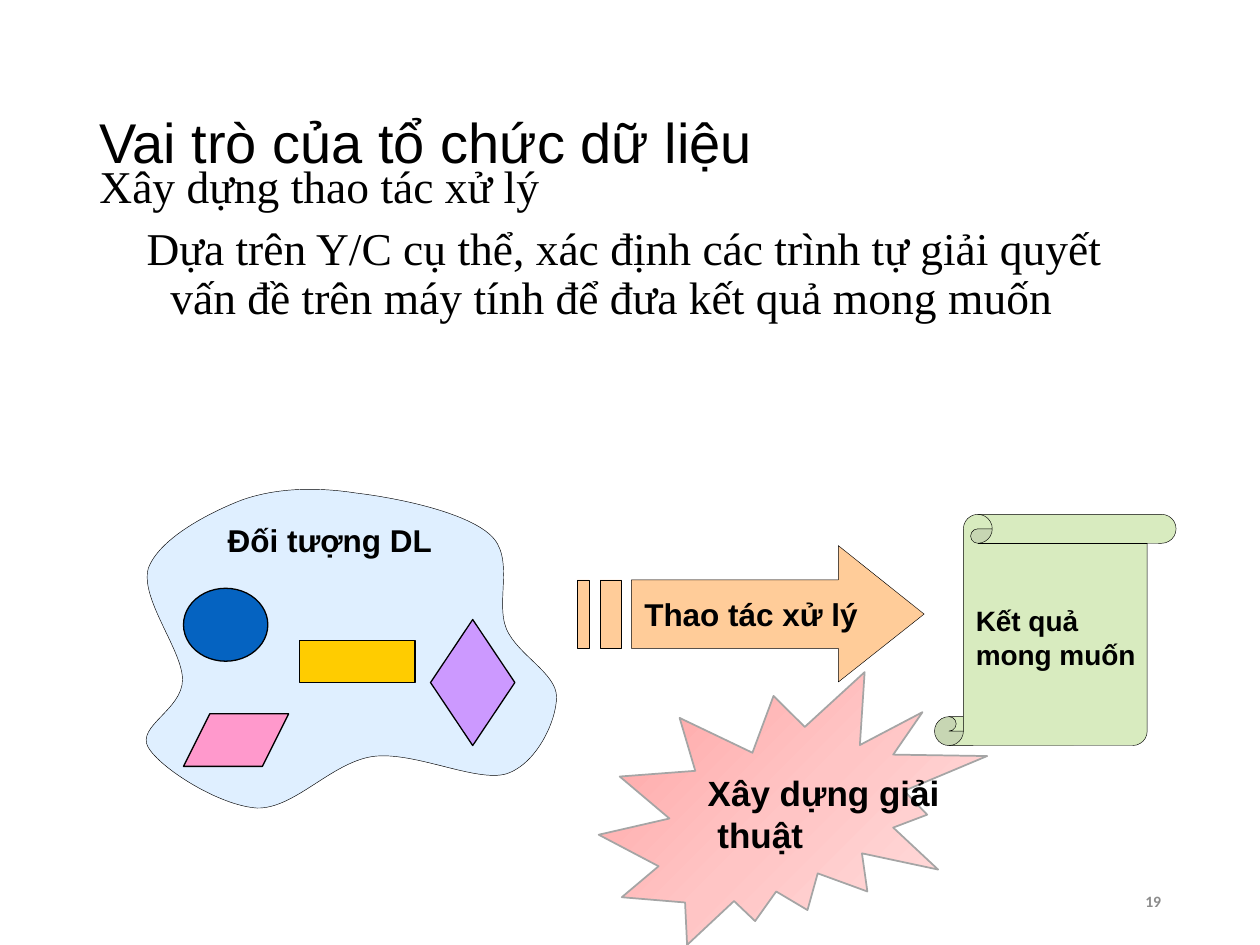
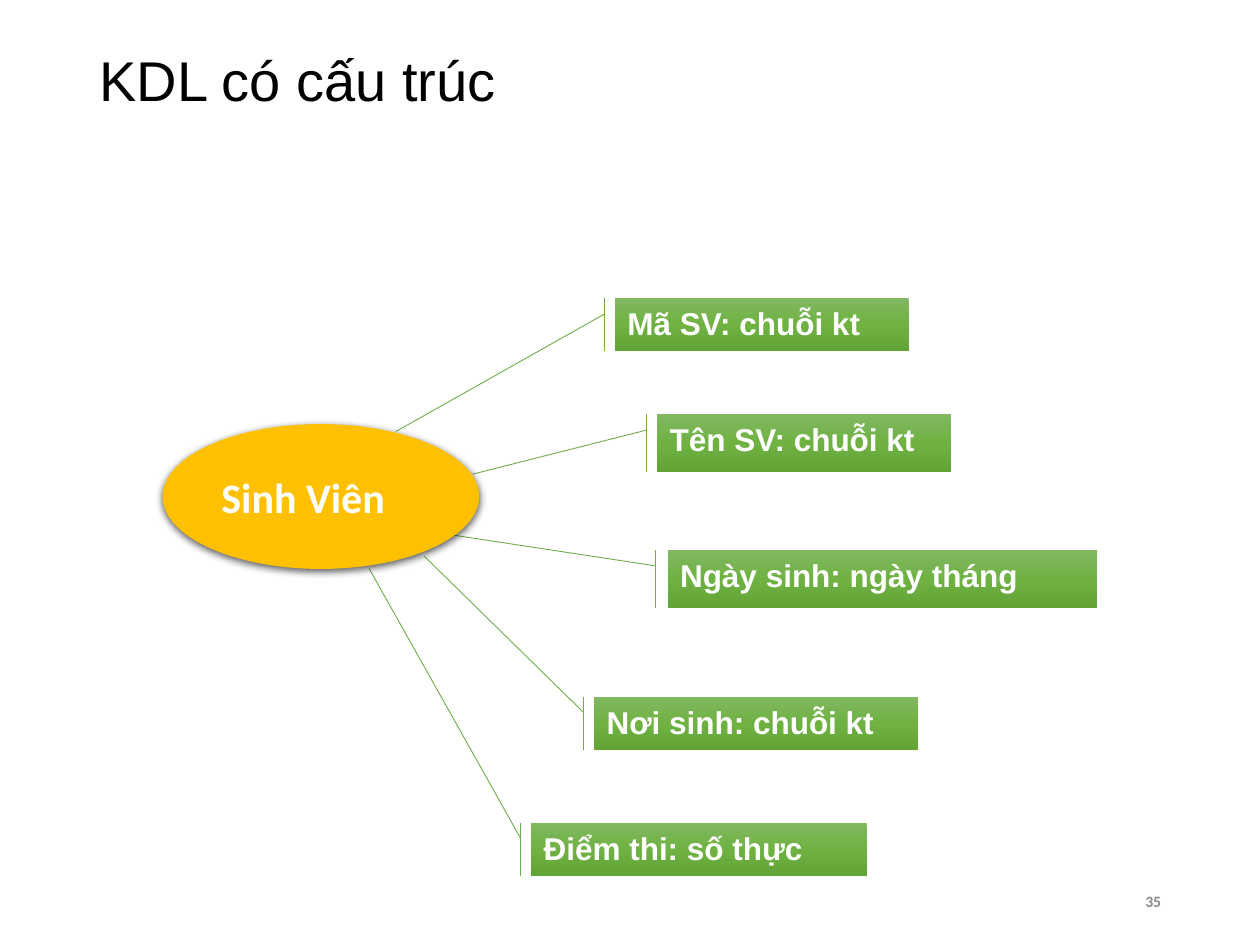
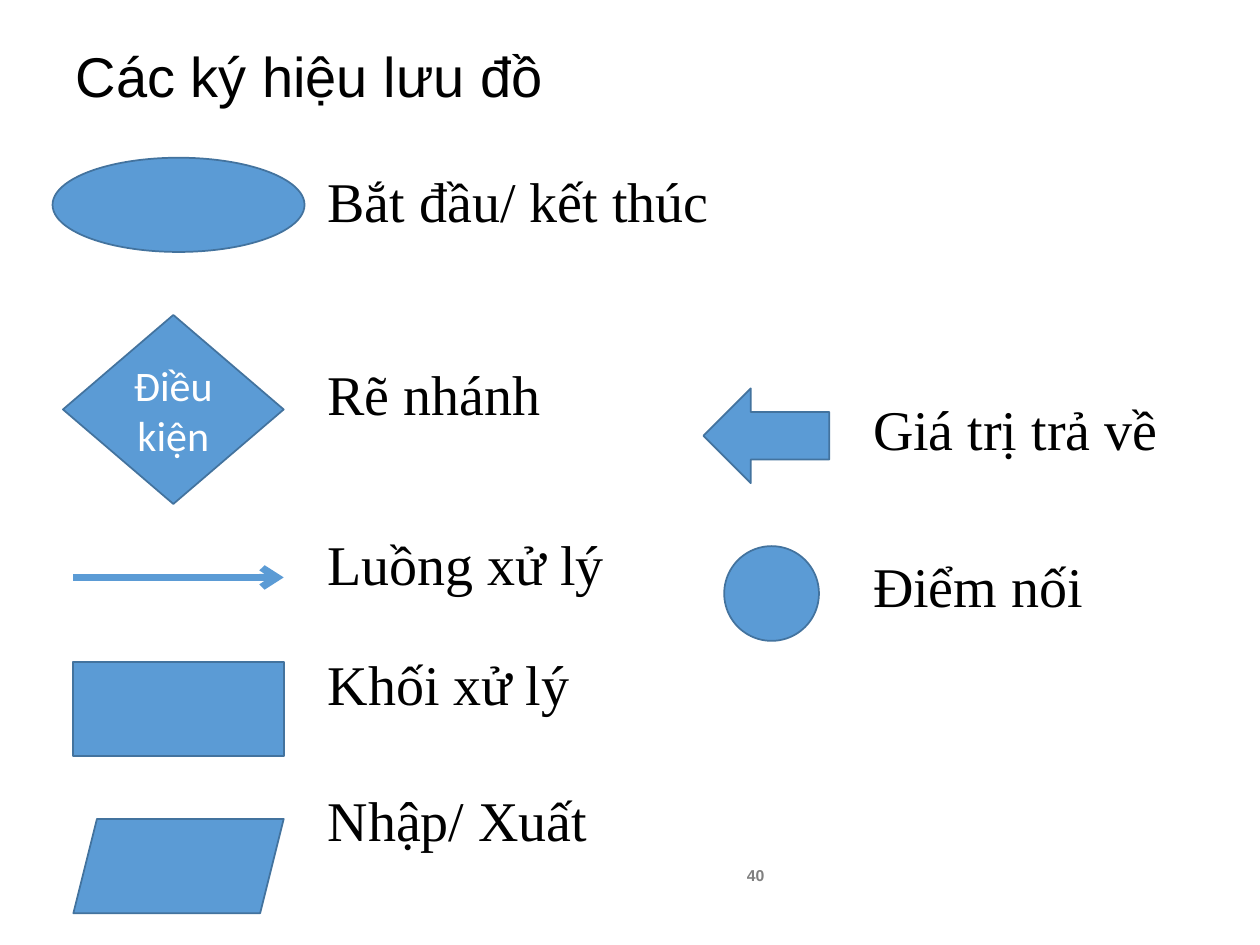
from lxml.etree import SubElement
from pptx import Presentation
from pptx.dml.color import RGBColor
from pptx.enum.shapes import MSO_CONNECTOR, MSO_SHAPE
from pptx.enum.text import MSO_ANCHOR, MSO_AUTO_SIZE, PP_ALIGN
from pptx.oxml.ns import qn
from pptx.util import Cm, Pt

BLACK = RGBColor(0x00, 0x00, 0x00)
WHITE = RGBColor(0xFF, 0xFF, 0xFF)
GREY = RGBColor(0x8C, 0x8C, 0x8C)
MID_GREY = RGBColor(0x7F, 0x7F, 0x7F)
SEAL_LINE = RGBColor(0xA5, 0xA5, 0xA5)
BLOB_BLUE = RGBColor(0x99, 0xCC, 0xFF)
DARK_BLUE = RGBColor(0x05, 0x63, 0xC1)
YELLOW = RGBColor(0xFF, 0xCC, 0x00)
PINK = RGBColor(0xFF, 0x99, 0xCC)
PURPLE = RGBColor(0xCC, 0x99, 0xFF)
PEACH = RGBColor(0xFF, 0xCC, 0x99)
SCROLL_GREEN = RGBColor(0xB1, 0xD8, 0x7E)
GREEN = RGBColor(0x70, 0xAD, 0x47)
GOLD = RGBColor(0xFF, 0xC0, 0x00)
BLUE = RGBColor(0x5B, 0x9B, 0xD5)
BLUE_LINE = RGBColor(0x43, 0x73, 0x9E)
RED_GRADIENT = (RGBColor(0xFF, 0xA0, 0xA0), RGBColor(0xFF, 0xC5, 0xC5),
                RGBColor(0xFF, 0xE3, 0xE3))
GREEN_GRADIENT = (RGBColor(0x81, 0xB8, 0x61), RGBColor(0x6F, 0xB2, 0x42),
                  RGBColor(0x62, 0xA3, 0x36))
SANS, SERIF, CALIBRI = "Arial", "Times New Roman", "Calibri"

NUMBER_BOX = (16.83, 17.65, 6.83, 1.02)


# Shared helpers
def place(sp, box):
    sp.left, sp.top, sp.width, sp.height = (Cm(v) for v in box)


def shift(box, part):
    """Move a part given relative to box to slide coordinates."""
    return (box[0] + part[0], box[1] + part[1], *part[2:])


def write(sp, lines, size, font=SANS, color=BLACK, bold=False,
          align=PP_ALIGN.LEFT, anchor=MSO_ANCHOR.MIDDLE, wrap=True):
    tf = sp.text_frame
    tf.text = "\n".join(lines)
    tf.auto_size = MSO_AUTO_SIZE.NONE
    tf.word_wrap = wrap
    tf.vertical_anchor = anchor
    for p in tf.paragraphs:
        p.alignment = align
        for r in p.runs:
            r.font.size, r.font.name, r.font.bold = Pt(size), font, bold
            r.font.color.rgb = color
    return tf


def paint(sp, fill, line=None, width=1, alpha=None):
    sp.shadow.inherit = False
    sp.fill.solid()
    sp.fill.fore_color.rgb = fill
    if alpha is not None:
        clr = sp._element.spPr.find(qn("a:solidFill")).find(qn("a:srgbClr"))
        SubElement(clr, qn("a:alpha"), val=str(alpha * 1000))
    if line is None:
        sp.line.fill.background()
    else:
        sp.line.color.rgb = line
        sp.line.width = Pt(width)


def paint_gradient(sp, colors, angle, line, width):
    paint(sp, colors[0], line, width)
    sp.fill.gradient()
    sp.fill.gradient_angle = 360 - angle
    gs_lst = sp._element.spPr.find(qn("a:gradFill")).find(qn("a:gsLst"))
    gs_lst.clear()
    for i, color in enumerate(colors):
        gs = SubElement(gs_lst, qn("a:gs"), pos=str(i * 50000))
        SubElement(gs, qn("a:srgbClr"), val=str(color))


def add_preset(s, kind, box):
    return s.shapes.add_shape(kind, *(Cm(v) for v in box))


def add_text(s, box, lines, size, **style):
    sp = s.shapes.add_textbox(*(Cm(v) for v in box))
    return write(sp, lines, size, **style)


def add_outline(s, box, polygons):
    """Draw closed polygons with points in hundredths of a cm."""
    builder = s.shapes.build_freeform(*polygons[0][0], scale=Cm(0.01))
    for i, points in enumerate(polygons):
        if i:
            builder.move_to(*points[0])
        builder.add_line_segments(points[1:], close=True)
    return builder.convert_to_shape(Cm(box[0]), Cm(box[1]))


def bend(sp):
    """Turn each three line segments of an outline into one cubic curve."""
    segments = list(sp._element.iter(qn("a:lnTo")))
    for i in range(0, len(segments) - 2, 3):
        first, *others = segments[i:i + 3]
        first.tag = qn("a:cubicBezTo")
        for segment in others:
            first.append(segment[0])
            segment.getparent().remove(segment)
    for segment in segments[len(segments) // 3 * 3:]:
        segment.getparent().remove(segment)


def add_slide(prs, layout, title, title_box):
    s = prs.slides.add_slide(prs.slide_layouts[layout])
    place(s.shapes.title, title_box)
    write(s.shapes.title, [title], 32)
    return s


def add_number(s, number, box=NUMBER_BOX, font=CALIBRI, color=GREY):
    add_text(s, box, [number], 9, font=font, color=color, bold=True,
             align=PP_ALIGN.RIGHT)


def fill_body(s, box, lines, size, gaps, levels=None):
    """Unbulleted list; gaps are the points before each later line."""
    body = s.placeholders[1]
    place(body, box)
    tf = write(body, lines, size, font=SERIF, anchor=MSO_ANCHOR.TOP)
    levels = levels or [0] * len(lines)
    for p, gap, level in zip(tf.paragraphs, [0, *gaps], levels):
        p.level = level
        pPr = p._p.get_or_add_pPr()
        pPr.set("marL", str(Cm(0.48 + 0.95 * level)))
        pPr.set("indent", str(Cm(-0.48)))
        SubElement(pPr, qn("a:buNone"))
        p.line_spacing = 0.9
        p.space_before = Pt(gap)


# Slide 1: from data objects to the result
# start point, then two control points and an end point per curve
BLOB = [
    (211, 28),
    (140, 56), (46, 107), (25, 165),
    (8, 226), (94, 330), (94, 389),
    (94, 450), (0, 483), (25, 526),
    (51, 569), (168, 643), (244, 648),
    (320, 650), (394, 556), (478, 544),
    (561, 533), (686, 597), (747, 579),
    (808, 559), (848, 472), (848, 424),
    (848, 376), (770, 340), (747, 287),
    (724, 231), (765, 142), (714, 97),
    (663, 51), (528, 23), (444, 13),
    (361, 0), (279, 3), (211, 28),
]
DATA_OBJECTS = [
    (MSO_SHAPE.OVAL, (0.96, 2.05, 1.7, 1.47), DARK_BLUE),
    (MSO_SHAPE.RECTANGLE, (3.3, 3.1, 2.33, 0.85), YELLOW),
    (MSO_SHAPE.PARALLELOGRAM, (0.96, 4.58, 2.12, 1.06), PINK),
    (MSO_SHAPE.DIAMOND, (5.94, 2.68, 1.7, 2.54), PURPLE),
]


def add_data_objects(s, box):
    blob = add_outline(s, box, [BLOB])
    bend(blob)
    paint(blob, BLOB_BLUE, BLACK, 0.25, alpha=31)
    for kind, part, color in DATA_OBJECTS:
        sp = add_preset(s, kind, shift(box, part))
        paint(sp, color, BLACK, 0.75)
        if kind == MSO_SHAPE.PARALLELOGRAM:
            sp.adjustments[0] = 0.5
    add_text(s, shift(box, (1.6, 0.57, 4.62, 1.02)), ["Đối tượng DL"], 18,
             bold=True, anchor=MSO_ANCHOR.TOP, wrap=False)


def add_striped_arrow(s, box):
    top, bottom = 69, 207
    head = [(526, 0), (526, top), (109, top), (109, bottom),
            (526, bottom), (526, 275), (699, 138)]
    bars = [[(x1, top), (x1, bottom), (x2, bottom), (x2, top)]
            for x1, x2 in ((46, 89), (0, 23))]
    sp = add_outline(s, box, [head, *bars])
    paint(sp, PEACH, BLACK, 0.25)
    tf = write(sp, ["Thao tác xử lý"], 18, bold=True)
    tf.margin_left = Cm(1.35)


def add_result_scroll(s, box):
    sp = add_preset(s, MSO_SHAPE.VERTICAL_SCROLL, box)
    paint(sp, SCROLL_GREEN, BLACK, 0.25, alpha=49)
    write(sp, ["Kết quả", "mong muốn"], 16, bold=True, wrap=False)


def add_algorithm_seal(s, box):
    sp = add_preset(s, MSO_SHAPE.EXPLOSION2, box)
    paint_gradient(sp, RED_GRADIENT, 45, SEAL_LINE, 1)
    write(sp, ["Xây dựng giải", " thuật"], 20, bold=True, wrap=False)


def build_role_slide(prs):
    s = add_slide(prs, 1, "Vai trò của tổ chức dữ liệu", (1.75, 1, 21.9, 3.68))
    fill_body(s, (1.75, 3.18, 21.9, 14),
              ["Xây dựng thao tác xử lý",
               "Dựa trên Y/C cụ thể, xác định các trình tự giải quyết "
               "vấn đề trên máy tính để đưa kết quả mong muốn"],
              26, gaps=[7.3], levels=[0, 1])
    add_data_objects(s, (2.74, 9.81))
    add_striped_arrow(s, (11.64, 11))
    add_result_scroll(s, (18.84, 10.37, 4.87, 4.66))
    add_algorithm_seal(s, (12.07, 13.55, 7.83, 5.5))
    add_number(s, "19")


# Slide 2: fields of a structured type
# label, box, end point of its line, gap to its bar
FIELDS = [
    ("Mã SV: chuỗi kt", (9.12, 0, 5.92, 1.07), (4.7, 2.69), 0.21),
    ("Tên SV: chuỗi kt", (9.97, 2.34, 5.92, 1.17), (6.25, 3.55), 0.21),
    ("Ngày sinh: ngày tháng", (10.18, 5.08, 8.66, 1.17), (5.48, 4.72), 0.24),
    ("Nơi sinh: chuỗi kt", (8.7, 8.04, 6.53, 1.07), (5.27, 5.2), 0.21),
    ("Điểm thi: số thực", (7.43, 10.58, 6.76, 1.07), (4.16, 5.45), 0.21),
]
LINE_DROP = 0.32


def add_field(s, origin, label, part, end, gap):
    x, y, w, h = part
    sp = add_preset(s, MSO_SHAPE.LINE_CALLOUT_1_ACCENT_BAR, shift(origin, part))
    ratios = (LINE_DROP / h, -gap / w, (end[1] - y) / h, (end[0] - x) / w)
    for i, ratio in enumerate(ratios):
        sp.adjustments[i] = ratio
    paint_gradient(sp, GREEN_GRADIENT, 90, GREEN, 0.5)
    write(sp, [label], 18, color=WHITE, bold=True, anchor=MSO_ANCHOR.TOP)


def add_record(s, box):
    sp = add_preset(s, MSO_SHAPE.OVAL, box)
    paint(sp, GOLD)
    effects = sp._element.spPr.find(qn("a:effectLst"))
    shadow = SubElement(effects, qn("a:outerShdw"), blurRad=str(Pt(4.5)),
                        dist=str(Pt(1.5)), dir="5400000", rotWithShape="0")
    clr = SubElement(shadow, qn("a:srgbClr"), val=str(BLACK))
    SubElement(clr, qn("a:alpha"), val="63000")
    write(sp, ["Sinh Viên"], 24, font=CALIBRI, color=WHITE, bold=True)


def build_structure_slide(prs):
    s = add_slide(prs, 5, "KDL có cấu trúc", (1.75, 0.43, 21.9, 2.34))
    add_number(s, "35")
    origin = (3.28, 6.01)
    for field in FIELDS:
        add_field(s, origin, *field)
    add_record(s, shift(origin, (0, 2.54, 6.38, 2.92)))


# Slide 3: flowchart symbols
LEFT_SYMBOLS = [
    (MSO_SHAPE.OVAL, (0, 0, 5.08, 1.9), None),
    (MSO_SHAPE.DIAMOND, (0.21, 3.17, 4.45, 3.81), "Điều kiện"),
    (MSO_SHAPE.RECTANGLE, (0.42, 10.16, 4.24, 1.9), None),
    (MSO_SHAPE.PARALLELOGRAM, (0.42, 13.33, 4.24, 1.9), None),
]
RIGHT_SYMBOLS = [
    (MSO_SHAPE.LEFT_ARROW, (0, 0, 2.54, 1.91), None),
    (MSO_SHAPE.OVAL, (0.42, 3.18, 1.91, 1.91), None),
]


def add_symbols(s, origin, symbols):
    for kind, part, label in symbols:
        sp = add_preset(s, kind, shift(origin, part))
        paint(sp, BLUE, BLUE_LINE)
        if label:
            write(sp, [label], 24, font=CALIBRI, color=WHITE,
                  align=PP_ALIGN.CENTER)


def add_flow_arrow(s, x, y, length):
    line = s.shapes.add_connector(MSO_CONNECTOR.STRAIGHT, Cm(x), Cm(y),
                                  Cm(x + length), Cm(y))
    line.line.color.rgb = BLUE
    line.line.width = Pt(4)
    spPr = line._element.spPr
    SubElement(spPr.find(qn("a:ln")), qn("a:tailEnd"), type="arrow")
    SubElement(spPr, qn("a:effectLst"))


def build_symbols_slide(prs):
    s = add_slide(prs, 1, "Các ký hiệu lưu đồ", (1.27, 0.2, 22.86, 2.62))
    fill_body(s, (6.35, 3.38, 9.32, 14.8),
              ["Bắt đầu/ kết thúc", "Rẽ nhánh", "Luồng xử lý",
               "Khối xử lý", "Nhập/ Xuất"],
              32, gaps=[75.5, 63, 34, 43])
    left, right = (1.06, 3.18), (14.18, 7.83)
    add_symbols(s, left, LEFT_SYMBOLS)
    add_flow_arrow(s, *shift(left, (0.42, 8.46, 4.24)))
    add_symbols(s, right, RIGHT_SYMBOLS)
    tf = add_text(s, shift(right, (3.17, 0, 7.62, 5.92)),
                  ["Giá trị trả về", "Điểm nối"], 32, font=SERIF,
                  anchor=MSO_ANCHOR.TOP)
    tf.paragraphs[1].space_before = Pt(51.4)
    add_number(s, "40", (10.58, 17.14, 5.08, 1.02), SANS, MID_GREY)


def main():
    prs = Presentation()
    prs.slide_width, prs.slide_height = Cm(25.4), Cm(19.05)
    build_role_slide(prs)
    build_structure_slide(prs)
    build_symbols_slide(prs)
    prs.save("out.pptx")


if __name__ == "__main__":
    main()
